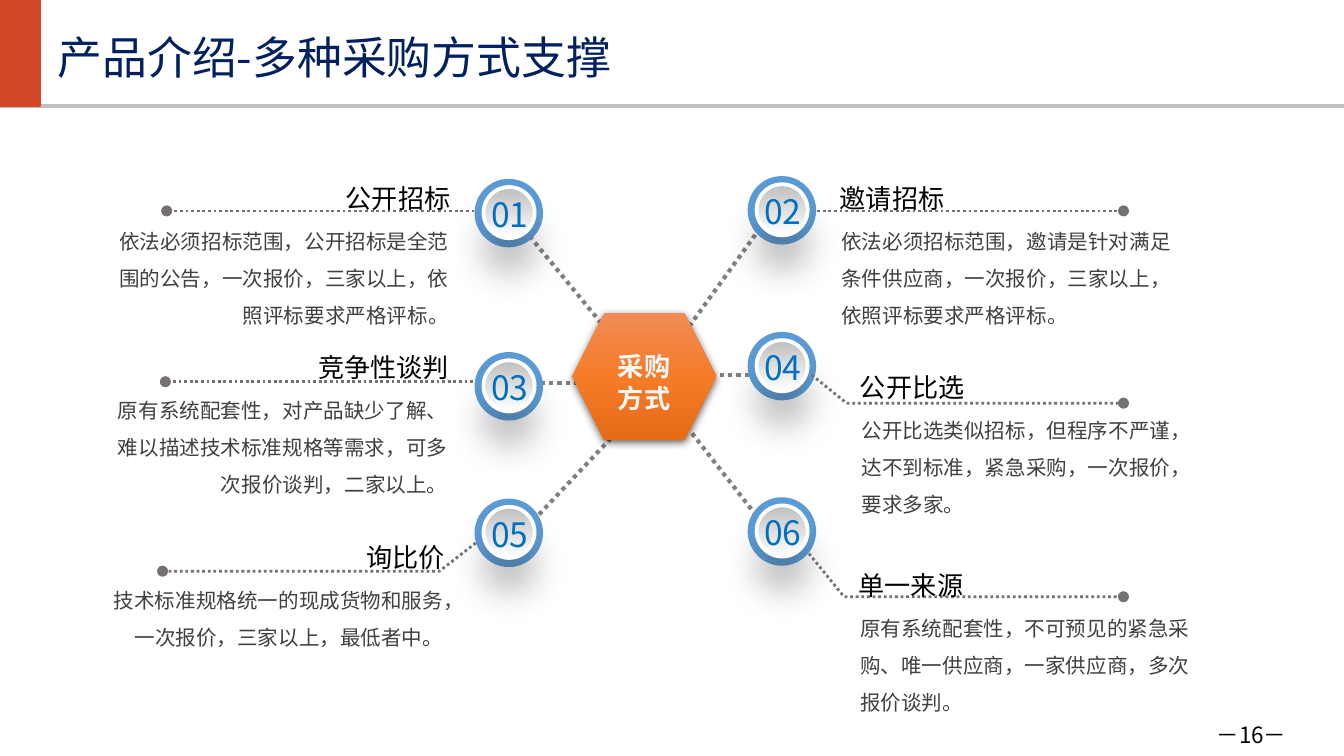
from lxml import etree
from pptx import Presentation
from pptx.dml.color import RGBColor
from pptx.enum import dml, shapes, text
from pptx.oxml.ns import qn
from pptx.util import Pt

FONT = "Noto Sans CJK SC"
LEFT, RIGHT = text.PP_ALIGN.LEFT, text.PP_ALIGN.RIGHT
SHAPE = shapes.MSO_SHAPE
RING, CORE = 36.7, 27.4
BODY = 181.4
LEFT_X, RIGHT_X = 254.2, 400.5

# number, ring top, spoke (hub end, ring end), leader points,
# label edge and top, heading, body
ITEMS = [
    ("01", 95.8, [(344.9, 200.9), (275, 115.9)],
     [(254.2, 113), (89.3, 113)], (248.4, 90.7), "公开招标",
     "依法必须招标范围，公开招标是全范围的公告，一次报价，三家以上，依照评标要求严格评标。"),
    ("02", 94.3, [(353.5, 196.6), (415.4, 110.9)],
     [(437.8, 113), (601.9, 113)], (442.8, 90.7), "邀请招标",
     "依法必须招标范围，邀请是针对满足条件供应商，一次报价，三家以上，依照评标要求严格评标。"),
    ("03", 188.6, [(345.6, 205.2), (278.6, 205.2)],
     [(253.4, 204.5), (88.6, 204.5)], (247.7, 181.4), "竞争性谈判",
     "原有系统配套性，对产品缺少了解、难以描述技术标准规格等需求，可多次报价谈判，二家以上。"),
    ("04", 177.8, [(354.2, 200.9), (427.7, 200.9)],
     [(434.9, 200.9), (453.6, 216), (601.9, 216)], (453.6, 192.2), "公开比选",
     "公开比选类似招标，但程序不严谨，达不到标准，紧急采购，一次报价，要求多家。"),
    ("05", 267.1, [(345.6, 215.3), (275.8, 289.4)],
     [(254.9, 290.9), (235.4, 306), (87.1, 306)], (245.5, 283), "询比价",
     "技术标准规格统一的现成货物和服务，一次报价，三家以上，最低者中。"),
    ("06", 266.4, [(354.2, 211), (413.3, 286.6)],
     [(433.4, 296.6), (452.2, 319.7), (601.9, 319.7)], (452.9, 298.1), "单一来源",
     "原有系统配套性，不可预见的紧急采购、唯一供应商，一家供应商，多次报价谈判。"),
]


def color(code):
    return RGBColor.from_string(code)


def add(parent, tag, **attrs):
    node = etree.SubElement(parent, qn(tag))
    for key, value in attrs.items():
        node.set(key, str(value))
    return node


class Deck:
    def __init__(self, font):
        self.font = font
        self.prs = Presentation()
        self.prs.slide_width, self.prs.slide_height = Pt(720), Pt(405)
        self.slide = self.prs.slides.add_slide(self.prs.slide_layouts[5])

    def style(self, frame, words, size, ink, align=LEFT, gap=None, bold=False):
        """Set the words of a frame and format them."""
        frame.text = words
        for para in frame.paragraphs:
            para.alignment = align
            para.line_spacing = gap
            for run in para.runs:
                run.font.size, run.font.bold = Pt(size), bold
                run.font.name = self.font
                run.font.color.rgb = color(ink)
                add(run._r.get_or_add_rPr(), "a:ea", typeface=self.font)

    def inset(self, frame, side, top):
        frame.margin_left = frame.margin_right = Pt(side)
        frame.margin_top = frame.margin_bottom = Pt(top)

    def title(self, words, box):
        shape = self.slide.shapes.title
        shape.left, shape.top, shape.width, shape.height = map(Pt, box)
        frame = shape.text_frame
        frame.auto_size = text.MSO_AUTO_SIZE.NONE
        frame.vertical_anchor = text.MSO_ANCHOR.MIDDLE
        self.inset(frame, 5, 3)
        self.style(frame, words, 24, "002060", gap=0.9)

    def text(self, words, box, size, ink, wrap=True, pad=(7.2, 3.6), **style):
        frame = self.slide.shapes.add_textbox(*map(Pt, box)).text_frame
        frame.word_wrap = wrap
        self.inset(frame, *pad)
        self.style(frame, words, size, ink, **style)

    def shape(self, kind, box, fill, line=None, width=1, shadow=None):
        """Fill is one colour or a list of (percent, colour) running downwards;
        shadow is (colour, alpha percent, blur, distance)."""
        item = self.slide.shapes.add_shape(kind, *map(Pt, box))
        if isinstance(fill, str):
            item.fill.solid()
            item.fill.fore_color.rgb = color(fill)
        else:
            item.fill.gradient()
            item.fill.gradient_angle = 270
            stops = item._element.spPr.find(".//" + qn("a:gsLst"))
            for old in list(stops):
                stops.remove(old)
            for place, code in fill:
                stop = add(stops, "a:gs", pos=place * 1000)
                add(stop, "a:srgbClr", val=code)
        if line:
            item.line.color.rgb = color(line)
            item.line.width = Pt(width)
        else:
            item.line.fill.background()
        item.shadow.inherit = False
        if shadow:
            code, alpha, blur, dist = shadow
            effect = item._element.spPr.find(qn("a:effectLst"))
            outer = add(effect, "a:outerShdw", blurRad=Pt(blur), dist=Pt(dist),
                        dir=90 * 60000, algn="t", rotWithShape=0)
            add(add(outer, "a:srgbClr", val=code), "a:alpha", val=alpha * 1000)

    def line(self, points, ink, width, dotted=True):
        """Draw a line through the points; a dotted one ends in a dot."""
        if len(points) == 2:
            ends = [Pt(n) for point in points for n in point]
            item = self.slide.shapes.add_connector(
                shapes.MSO_CONNECTOR.STRAIGHT, *ends)
        else:
            first, *rest = [(Pt(x), Pt(y)) for x, y in points]
            build = self.slide.shapes.build_freeform(*first)
            build.add_line_segments(rest, close=False)
            item = build.convert_to_shape()
            item.fill.background()
        item.line.color.rgb = color(ink)
        item.line.width = Pt(width)
        if dotted:
            item.line.dash_style = dml.MSO_LINE.ROUND_DOT
            stroke = item._element.spPr.find(qn("a:ln"))
            add(stroke, "a:tailEnd", type="oval")
        add(item._element.spPr, "a:effectLst")

    def badge(self, number, x, y):
        self.shape(SHAPE.OVAL, (x, y, RING, RING), "5B9BD5")
        self.shape(SHAPE.OVAL, (x + 4.8, y + 4.4, CORE, CORE),
                   [(0, "BFBFBF"), (100, "FFFFFF")], "FFFFFF", 2,
                   ("262626", 28, 18, 18))
        self.text(number, (x + 1.8, y + 4.4, 36, 29), 18, "0070C0", wrap=False)

    def note(self, head, body, edge, top, align):
        """Place a heading and its body against the edge that faces the hub."""
        width = 14 * len(head) + 15.3
        if align == RIGHT:
            x, start = edge - width, edge - 7.9 - BODY
        else:
            x, start = edge, edge + 7.9
        self.text(head, (x, top, width, 27.4), 14, "000000",
                  align=align, gap=1.2)
        self.text(body, (start, top + 25.2, BODY, 52.6), 11, "404040",
                  pad=(0, 0), align=align, gap=1.5)


def main():
    deck = Deck(FONT)
    deck.line([(0, 56.9), (720, 56.9)], "BFBFBF", 2.25, dotted=False)
    deck.shape(SHAPE.RECTANGLE, (0, -0.7, 21.6, 57.6), "D24726", "D24726")
    deck.title("产品介绍-多种采购方式支撑", (25.9, 17.3, 560, 30.2))

    for _, _, spoke, *_ in ITEMS:
        deck.line(spoke, "808080", 2.25)
    for i, (number, y, _, leader, label, head, body) in enumerate(ITEMS):
        x, align = (RIGHT_X, LEFT) if i % 2 else (LEFT_X, RIGHT)
        deck.badge(number, x, y)
        deck.line(leader, "767171", 1.5)
        deck.note(head, body, *label, align)

    deck.shape(SHAPE.HEXAGON, (306.7, 167.8, 77, 67.7),
               [(0, "F18C57"), (50, "F67B28"), (100, "E56C19")],
               shadow=("000000", 63, 4.5, 1.5))
    deck.text("采购\n方式", (324, 184.3, 43.2, 41.8), 14, "F8F8F8",
              wrap=False, bold=True)
    deck.text("－16－", (617, 383, 79.2, 28), 12, "000000", align=RIGHT)
    deck.prs.save("out.pptx")


if __name__ == "__main__":
    main()
